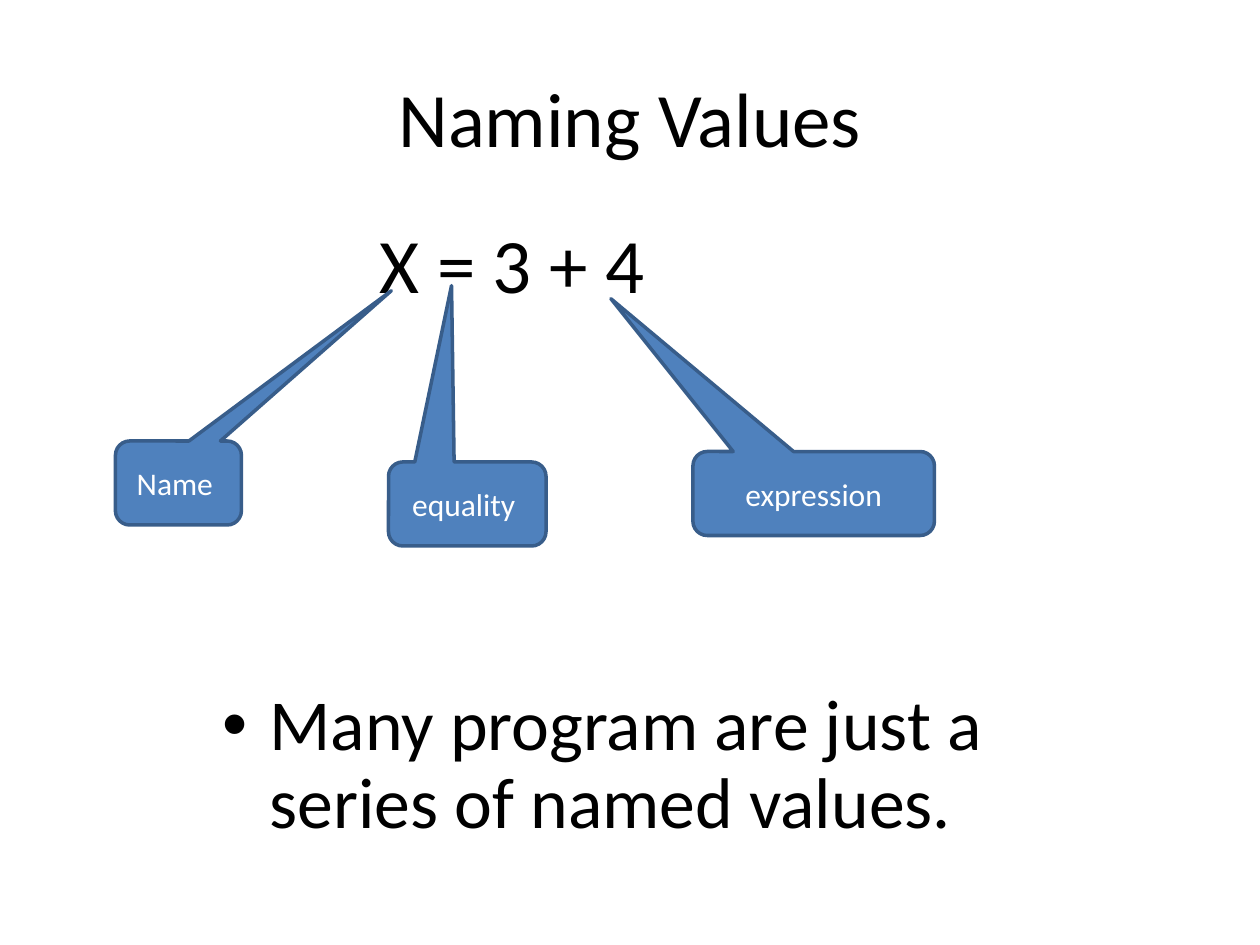
from dataclasses import dataclass

from lxml.etree import SubElement
from pptx import Presentation
from pptx.dml.color import RGBColor
from pptx.enum.shapes import MSO_SHAPE as Preset
from pptx.enum.text import MSO_ANCHOR as Anchor, PP_ALIGN as Align
from pptx.oxml.ns import qn
from pptx.util import Pt

BLACK, WHITE = "000000", "FFFFFF"
FILL, OUTLINE = "4F81BD", "385D8A"


@dataclass(frozen=True)
class Box:
    left: float
    top: float
    width: float
    height: float

    def lengths(self) -> tuple:
        return Pt(self.left), Pt(self.top), Pt(self.width), Pt(self.height)


@dataclass(frozen=True)
class Callout:
    text: str
    box: Box
    tip_x: float
    tip_y: float


CALLOUTS = [
    Callout("Name ", Box(66, 252, 72, 48), 1.69, -2.29),
    Callout("equality ", Box(222, 264, 90, 48), -0.1, -2.6),
    Callout("expression", Box(396, 258, 138, 48), -0.84, -2.32),
]


def color(value: str) -> RGBColor:
    return RGBColor.from_string(value)


def write(shape, text: str, size: float, ink: str, align=Align.LEFT, anchor=Anchor.TOP):
    frame = shape.text_frame
    frame.word_wrap = True
    frame.vertical_anchor = anchor
    paragraph = frame.paragraphs[0]
    paragraph.text = text
    paragraph.alignment = align
    font = paragraph.font
    font.name, font.size = "Calibri", Pt(size)
    font.color.rgb = color(ink)
    return paragraph


def add_text(slide, box: Box, text: str, size: float, **layout):
    return write(slide.shapes.add_textbox(*box.lengths()), text, size, BLACK, **layout)


def add_bullet_text(slide, box: Box, text: str, size: float) -> None:
    textbox = slide.shapes.add_textbox(*box.lengths())
    properties = textbox.text_frame.paragraphs[0]._p.get_or_add_pPr()
    properties.set("marL", str(Pt(27)))
    properties.set("indent", str(Pt(-27)))
    SubElement(properties, qn("a:buFont"), typeface="Arial")
    SubElement(properties, qn("a:buChar"), char="•")
    write(textbox, text, size, BLACK).line_spacing = 0.9


def add_callout(slide, callout: Callout) -> None:
    shape = slide.shapes.add_shape(Preset.ROUNDED_RECTANGULAR_CALLOUT, *callout.box.lengths())
    shape.shadow.inherit = False
    shape.adjustments[0] = callout.tip_x
    shape.adjustments[1] = callout.tip_y
    shape.adjustments[2] = 0.17
    shape.fill.solid()
    shape.fill.fore_color.rgb = color(FILL)
    shape.line.color.rgb = color(OUTLINE)
    shape.line.width = Pt(2)
    write(shape, callout.text, 18, WHITE, Align.CENTER, Anchor.MIDDLE)


def main() -> None:
    deck = Presentation()
    deck.slide_width, deck.slide_height = Pt(720), Pt(540)
    slide = deck.slides.add_slide(deck.slide_layouts[6])

    add_text(slide, Box(36, 21.6, 648, 90), "Naming Values", 44,
             align=Align.CENTER, anchor=Anchor.MIDDLE)
    add_text(slide, Box(210, 120, 330, 66), "X = 3 + 4", 44)
    for callout in CALLOUTS:
        add_callout(slide, callout)
    add_bullet_text(slide, Box(120, 390, 510, 96),
                    "Many program are just a series of named values.", 41)

    deck.save("out.pptx")


if __name__ == "__main__":
    main()
